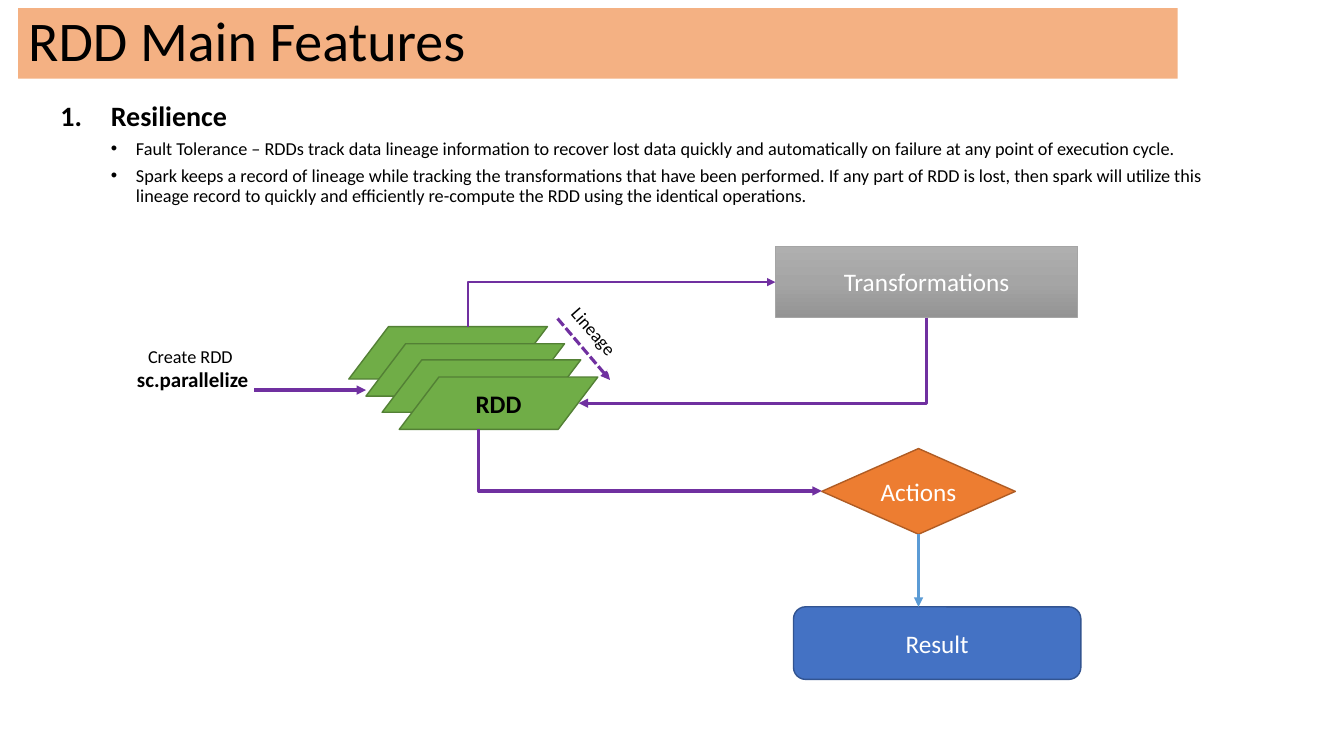
from copy import deepcopy
from dataclasses import dataclass

from lxml.etree import SubElement
from pptx import Presentation
from pptx.dml.color import RGBColor
from pptx.enum.dml import MSO_LINE
from pptx.enum.shapes import MSO_CONNECTOR, MSO_SHAPE
from pptx.enum.text import MSO_ANCHOR, MSO_AUTO_SIZE, PP_ALIGN
from pptx.oxml.ns import qn
from pptx.shapes.autoshape import Shape
from pptx.shapes.connector import Connector
from pptx.slide import Slide
from pptx.text.text import _Paragraph as Paragraph
from pptx.util import Emu, Pt

PX = 9144  # 100 px to the inch
FONT = "Calibri"
BLACK = RGBColor(0x00, 0x00, 0x00)
WHITE = RGBColor(0xFF, 0xFF, 0xFF)
PEACH = RGBColor(0xF4, 0xB1, 0x83)
GREEN = RGBColor(0x70, 0xAD, 0x47)
DARK_GREEN = RGBColor(0x53, 0x80, 0x35)
ORANGE = RGBColor(0xED, 0x7D, 0x31)
DARK_ORANGE = RGBColor(0xAF, 0x5C, 0x24)
BLUE = RGBColor(0x44, 0x72, 0xC4)
DARK_BLUE = RGBColor(0x32, 0x54, 0x91)
LIGHT_BLUE = RGBColor(0x5B, 0x9B, 0xD5)
PURPLE = RGBColor(0x70, 0x30, 0xA0)
LIGHT_GRAY = RGBColor(0xAF, 0xAF, 0xAF)
GRAY = RGBColor(0xA5, 0xA5, 0xA5)
DARK_GRAY = RGBColor(0x93, 0x93, 0x93)


@dataclass
class Node:
    kind: MSO_SHAPE
    bounds: tuple[int, int, int, int]
    fill: RGBColor
    outline: RGBColor
    text: str = ""
    text_color: RGBColor = WHITE
    bold: bool = False
    line_width: float = 1


@dataclass
class Label:
    bounds: tuple[int, int, int, int]
    text: str
    size: int = 13
    bold: bool = False
    wrap: bool = True


@dataclass
class Arrow:
    start: tuple[int, int]
    end: tuple[int, int]
    color: RGBColor = PURPLE
    width: float = 2.25
    dashed: bool = False


@dataclass
class Point:
    text: str
    size: int
    margin: int
    hanging: int
    bullet: str
    bold: bool = False


POINTS = [
    Point("Resilience", 20, 100, 50, "", True),
    Point("Fault Tolerance – RDDs track data lineage information to recover lost data quickly "
          "and automatically on failure at any point of execution cycle.", 13, 125, 25, "•"),
    Point("Spark keeps a record of lineage while tracking the transformations that have been "
          "performed. If any part of RDD is lost, then spark will utilize this lineage record to "
          "quickly and efficiently re-compute the RDD using the identical operations.",
          13, 125, 25, "•"),
]
PARTITIONS = 4
RDD_STACK = [
    Node(MSO_SHAPE.FLOWCHART_DATA, (346 + shift, 324 + shift, 197, 52), GREEN, DARK_GREEN,
         "RDD" if shift == 50 else "", BLACK, True)
    for shift in (round(50 * index / (PARTITIONS - 1)) for index in range(PARTITIONS))
]
TRANSFORMATIONS = Node(MSO_SHAPE.RECTANGLE, (769, 244, 300, 71), GRAY, GRAY,
                       "Transformations", line_width=0.5)
ACTIONS = Node(MSO_SHAPE.FLOWCHART_DECISION, (815, 445, 192, 85), ORANGE, DARK_ORANGE, "Actions")
RESULT = Node(MSO_SHAPE.ROUNDED_RECTANGLE, (787, 602, 285, 72), BLUE, DARK_BLUE, "Result")
LINEAGE = Label((547, 322, 101, 32), "Lineage")
SOURCE_LABELS = [
    Label((126, 359, 163, 35), "sc.parallelize", 15, True),
    Label((137, 338, 105, 32), "Create RDD", wrap=False),
]
STRAIGHT_ARROWS = [
    Arrow((553, 316), (605, 377), dashed=True),
    Arrow((252, 387), (363, 387)),
]
BENT_ARROWS = [
    Arrow((464, 324), (769, 280), width=1.5),
    Arrow((919, 315), (574, 400)),
    Arrow((475, 426), (815, 487)),
]
RESULT_ARROW = Arrow((911, 530), (911, 602), LIGHT_BLUE)


def scaled(values: tuple[int, ...]) -> list[Emu]:
    return [Emu(value * PX) for value in values]


def add_span(para: Paragraph, text: str, size: int, color: RGBColor = BLACK,
             bold: bool = False) -> None:
    span = para.add_run()
    span.text = text
    span.font.name = FONT
    span.font.size = Pt(size)
    span.font.bold = bold
    span.font.color.rgb = color


def set_title(page: Slide, text: str) -> None:
    title = page.shapes.title
    title.left, title.top, title.width, title.height = scaled((18, 8, 1150, 70))
    title.fill.solid()
    title.fill.fore_color.rgb = PEACH
    frame = title.text_frame
    frame.auto_size = MSO_AUTO_SIZE.NONE
    frame.vertical_anchor = MSO_ANCHOR.MIDDLE
    para = frame.paragraphs[0]
    para.alignment = PP_ALIGN.LEFT
    para.line_spacing = 0.9
    add_span(para, text, 40)


def add_points(page: Slide, points: list[Point]) -> None:
    frame = page.shapes.add_textbox(*scaled((0, 97, 1211, 120))).text_frame
    frame.word_wrap = True
    for index, point in enumerate(points):
        para = frame.add_paragraph() if index else frame.paragraphs[0]
        properties = para._p.get_or_add_pPr()
        properties.set("marL", str(point.margin * PX))
        properties.set("indent", str(-point.hanging * PX))
        if point.bullet:
            SubElement(properties, qn("a:buFont"), typeface="Arial")
            SubElement(properties, qn("a:buChar"), char=point.bullet)
        else:
            SubElement(properties, qn("a:buFont"), typeface="+mj-lt")
            SubElement(properties, qn("a:buAutoNum"), type="arabicPeriod")
        para.line_spacing = 0.9
        if index:
            para.space_before = Pt(5)
        add_span(para, point.text, point.size, bold=point.bold)


def add_node(page: Slide, node: Node) -> Shape:
    shape = page.shapes.add_shape(node.kind, *scaled(node.bounds))
    shape.shadow.inherit = False
    shape.fill.solid()
    shape.fill.fore_color.rgb = node.fill
    shape.line.color.rgb = node.outline
    shape.line.width = Pt(node.line_width)
    if node.text:
        frame = shape.text_frame
        frame.margin_left = frame.margin_right = 0
        frame.vertical_anchor = MSO_ANCHOR.MIDDLE
        para = frame.paragraphs[0]
        para.alignment = PP_ALIGN.CENTER
        add_span(para, node.text, 18, node.text_color, node.bold)
    return shape


def shade(shape: Shape) -> None:
    """Fill the shape with a three-stop gray gradient from top to bottom."""
    shape.fill.gradient()
    shape.fill.gradient_angle = 270
    first = shape.fill.gradient_stops[0]._gs
    first.addnext(deepcopy(first))
    colors = (LIGHT_GRAY, GRAY, DARK_GRAY)
    for stop, color, position in zip(shape.fill.gradient_stops, colors, (0, 0.5, 1)):
        stop.color.rgb = color
        stop.position = position


def add_label(page: Slide, label: Label) -> Shape:
    box = page.shapes.add_textbox(*scaled(label.bounds))
    box.text_frame.word_wrap = label.wrap
    add_span(box.text_frame.paragraphs[0], label.text, label.size, bold=label.bold)
    return box


def add_arrow(page: Slide, arrow: Arrow,
              kind: MSO_CONNECTOR = MSO_CONNECTOR.STRAIGHT) -> Connector:
    connector = page.shapes.add_connector(kind, *scaled(arrow.start + arrow.end))
    connector.line.color.rgb = arrow.color
    connector.line.width = Pt(arrow.width)
    if arrow.dashed:
        connector.line.dash_style = MSO_LINE.SQUARE_DOT
    SubElement(connector.line._get_or_add_ln(), qn("a:tailEnd"), type="triangle")
    SubElement(connector._element.spPr, qn("a:effectLst"))
    return connector


def add_bent_arrow(page: Slide, arrow: Arrow) -> None:
    """Draw an arrow that runs vertically first, then turns once to the side."""
    connector = add_arrow(page, arrow, MSO_CONNECTOR.ELBOW)
    (x1, y1), (x2, y2) = arrow.start, arrow.end
    width, height = abs(y2 - y1), abs(x2 - x1)
    connector.left = Emu((x1 + x2 - width) * PX // 2)
    connector.top = Emu((y1 + y2 - height) * PX // 2)
    connector.width, connector.height = scaled((width, height))
    properties = connector._element.spPr
    properties.find(qn("a:prstGeom")).set("prst", "bentConnector2")
    frame = properties.find(qn("a:xfrm"))
    frame.set("rot", str(90 * 60000))
    frame.set("flipH", str(int(y2 < y1)))
    frame.set("flipV", str(int(x2 > x1)))


def main() -> None:
    deck = Presentation()
    deck.slide_width, deck.slide_height = scaled((1333, 750))
    page = deck.slides.add_slide(deck.slide_layouts.get_by_name("Title Only"))
    add_points(page, POINTS)
    set_title(page, "RDD Main Features")
    for node in RDD_STACK:
        add_node(page, node)
    for arrow in STRAIGHT_ARROWS:
        add_arrow(page, arrow)
    lineage = add_label(page, LINEAGE)
    lineage.rotation = 48.8
    lineage.line.color.rgb = WHITE
    lineage.line.width = Pt(0.75)
    for label in SOURCE_LABELS:
        add_label(page, label)
    shade(add_node(page, TRANSFORMATIONS))
    actions = add_node(page, ACTIONS)
    add_node(page, RESULT)
    for arrow in BENT_ARROWS:
        add_bent_arrow(page, arrow)
    add_arrow(page, RESULT_ARROW).begin_connect(actions, 2)
    deck.save("out.pptx")


if __name__ == "__main__":
    main()
